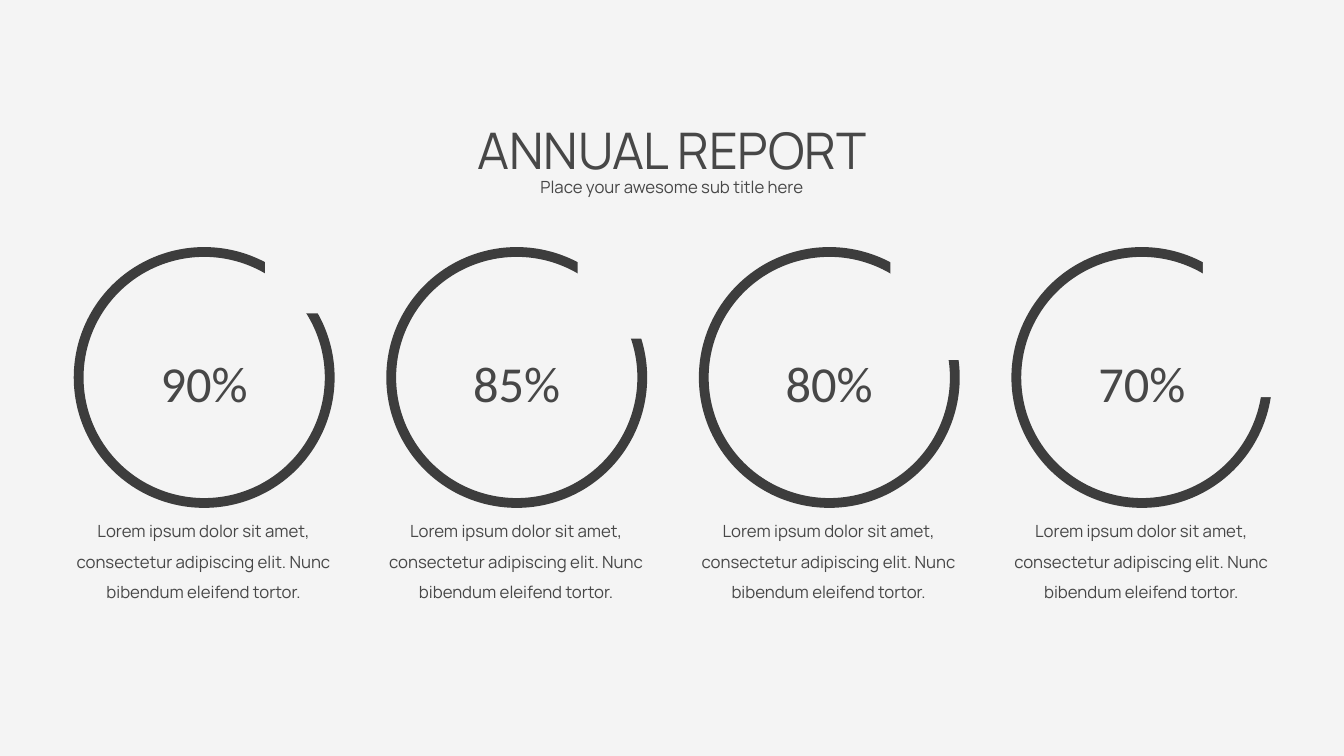
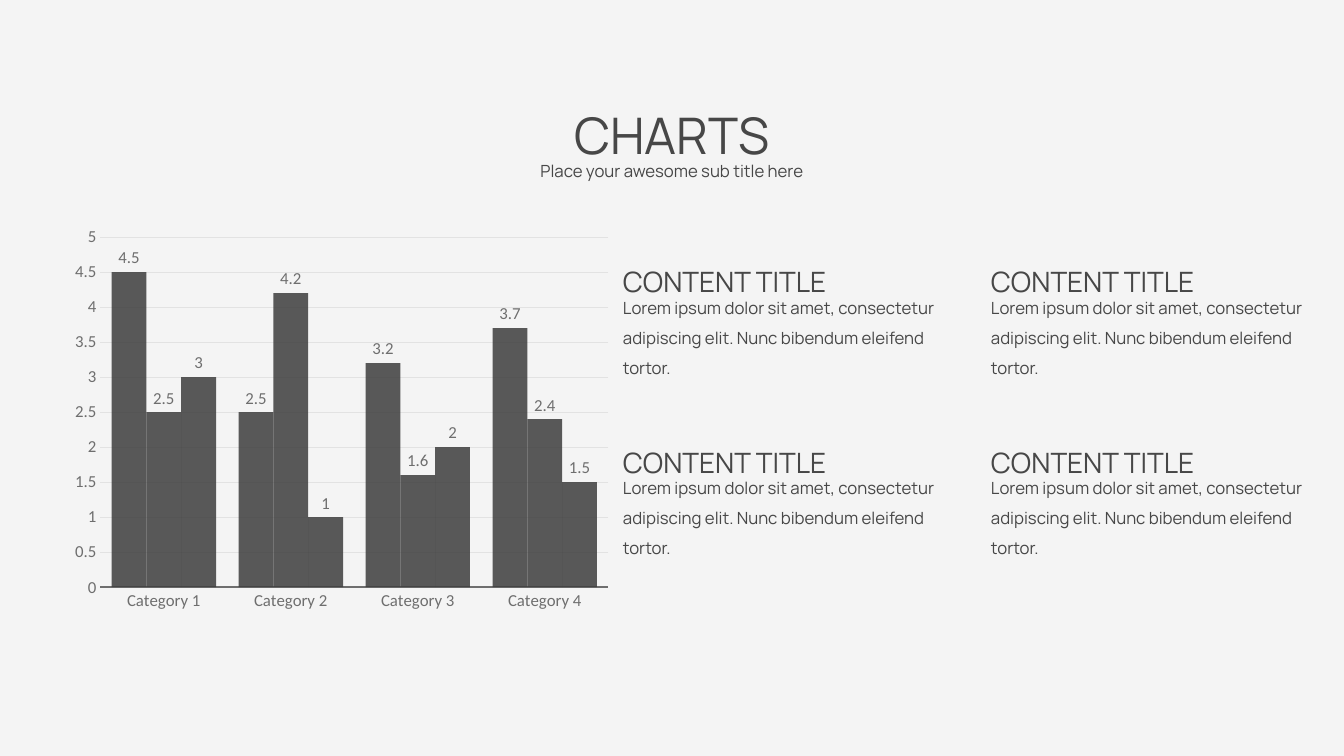
from pptx import Presentation
from pptx.chart.data import CategoryChartData as ChartData
from pptx.dml.color import RGBColor
from pptx.enum.chart import XL_CHART_TYPE as Kind, XL_LABEL_POSITION as Place, XL_TICK_MARK as Tick
from pptx.enum.shapes import MSO_SHAPE as Shape
from pptx.enum.text import MSO_AUTO_SIZE as Fit, PP_ALIGN as Align
from pptx.oxml import parse_xml
from pptx.oxml.ns import nsdecls, qn
from pptx.util import Inches, Pt

PAPER = RGBColor(0xF4, 0xF4, 0xF4)
INK = RGBColor(0x47, 0x47, 0x47)
DARK = RGBColor(0x3D, 0x3D, 0x3D)
GRAY = RGBColor(0x6E, 0x6E, 0x6E)
GRID = RGBColor(0xE2, 0xE2, 0xE2)
SANS = "Manrope"
PLAIN = "Calibri"
LOREM = "Lorem ipsum dolor sit amet, consectetur adipiscing elit. Nunc bibendum eleifend tortor."
EDGE = 0.62
RING = 2.49


def style(font, face, size, color):
    font.name = face
    font.size = Pt(size)
    font.color.rgb = color


def write(slide, text, left, top, width, height, size=12, face=SANS, color=INK, align=Align.LEFT):
    box = slide.shapes.add_textbox(Inches(left), Inches(top), Inches(width), Inches(height))
    frame = box.text_frame
    frame.word_wrap = True
    frame.auto_size = Fit.SHAPE_TO_FIT_TEXT
    para = frame.paragraphs[0]
    para.alignment = align
    para.line_spacing = 1.5
    run = para.add_run()
    run.text = text
    style(run.font, face, size, color)


def patch(slide, shape, left, top, width, height, line=None):
    item = slide.shapes.add_shape(shape, Inches(left), Inches(top), Inches(width), Inches(height))
    item.shadow.inherit = False
    item.fill.solid()
    item.fill.fore_color.rgb = PAPER
    if line:
        item.line.color.rgb = DARK
        item.line.width = Pt(line)
    else:
        item.line.fill.background()


def start(deck, title, top):
    slide = deck.slides.add_slide(deck.slide_layouts[6])
    slide.background.fill.solid()
    slide.background.fill.fore_color.rgb = PAPER
    write(slide, "Place your awesome sub title here", EDGE, top + 0.77, 12.09, 0.31, align=Align.CENTER)
    write(slide, title, EDGE, top, 12.09, 0.9, size=36, align=Align.CENTER)
    return slide


def gauge(slide, left, top, label, cut):
    ring = left + 0.16
    patch(slide, Shape.OVAL, ring, top, RING, RING, line=7)
    patch(slide, Shape.RECTANGLE, ring + 1.85, top, 0.79, cut)
    write(slide, label, ring, top + 0.64, RING, 0.9, size=36, face=PLAIN, align=Align.CENTER)
    write(slide, LOREM, left, top + 2.52, 2.8, 1.01, align=Align.CENTER)


def topic(slide, left, top):
    write(slide, LOREM, left, top + 0.39, 3.41, 1.01)
    write(slide, "CONTENT TITLE", left, top, 3.41, 0.61, size=20, align=Align.JUSTIFY)


def inset(chart, x, y, w, h):
    area = chart._chartSpace.chart.plotArea
    for old in area.findall(qn("c:layout")):
        area.remove(old)
    area.insert(0, parse_xml(
        f'<c:layout {nsdecls("c")}><c:manualLayout><c:layoutTarget val="inner"/>'
        f'<c:xMode val="edge"/><c:yMode val="edge"/><c:x val="{x}"/><c:y val="{y}"/>'
        f'<c:w val="{w}"/><c:h val="{h}"/></c:manualLayout></c:layout>'))


def paint(series):
    fill = series.format.fill
    fill.solid()
    fill.fore_color.rgb = DARK
    tint = series._element.spPr.find(".//" + qn("a:srgbClr"))
    tint.append(parse_xml(f'<a:alpha {nsdecls("a")} val="85000"/>'))
    series.format.line.fill.background()
    series.invert_if_negative = False
    labels = series.data_labels
    labels.show_value = True
    labels.position = Place.OUTSIDE_END
    style(labels.font, PLAIN, 12, GRAY)


def bars(slide, left, top, width, height):
    data = ChartData()
    data.categories = [f"Category {n}" for n in range(1, 5)]
    rows = [(4.5, 2.5, 3.2, 3.7), (2.5, 4.2, 1.6, 2.4), (3, 1, 2, 1.5)]
    for n, row in enumerate(rows, 1):
        data.add_series(f"Series {n}", row)
    chart = slide.shapes.add_chart(
        Kind.COLUMN_CLUSTERED, Inches(left), Inches(top), Inches(width), Inches(height), data).chart
    chart.has_title = False
    chart.has_legend = False
    style(chart.font, PLAIN, 10, DARK)
    plot = chart.plots[0]
    plot.gap_width = 65
    plot.overlap = 0
    plot.vary_by_categories = False
    for series in plot.series:
        paint(series)
    base, scale = chart.category_axis, chart.value_axis
    for axis in (base, scale):
        axis.major_tick_mark = axis.minor_tick_mark = Tick.NONE
        style(axis.tick_labels.font, PLAIN, 12, GRAY)
    base.format.line.color.rgb = GRAY
    base.format.line.width = Pt(1.5)
    scale.format.line.fill.background()
    scale.minimum_scale, scale.maximum_scale, scale.major_unit = 0, 5, 0.5
    scale.tick_labels.number_format = "General"
    scale.tick_labels.number_format_is_linked = False
    lines = scale.major_gridlines.format.line
    lines.color.rgb = GRID
    lines.width = Pt(0.75)
    inset(chart, 0.055, 0.051, 0.78, 0.833)


def report(deck):
    slide = start(deck, "ANNUAL REPORT", 0.83)
    marks = [("90%", 0.61), ("85%", 0.86), ("80%", 1.07), ("70%", 1.44)]
    for n, (label, cut) in enumerate(marks):
        gauge(slide, EDGE + 3.1 * n, 2.5, label, cut)


def charts(deck):
    slide = start(deck, "CHARTS", 0.68)
    bars(slide, 0.64, 2.14, 6.46, 4.17)
    for top in (2.41, 4.2):
        for left in (6.08, 9.73):
            topic(slide, left, top)


def main():
    deck = Presentation()
    deck.slide_width = Inches(13.33)
    deck.slide_height = Inches(7.5)
    report(deck)
    charts(deck)
    deck.save("out.pptx")


if __name__ == "__main__":
    main()
